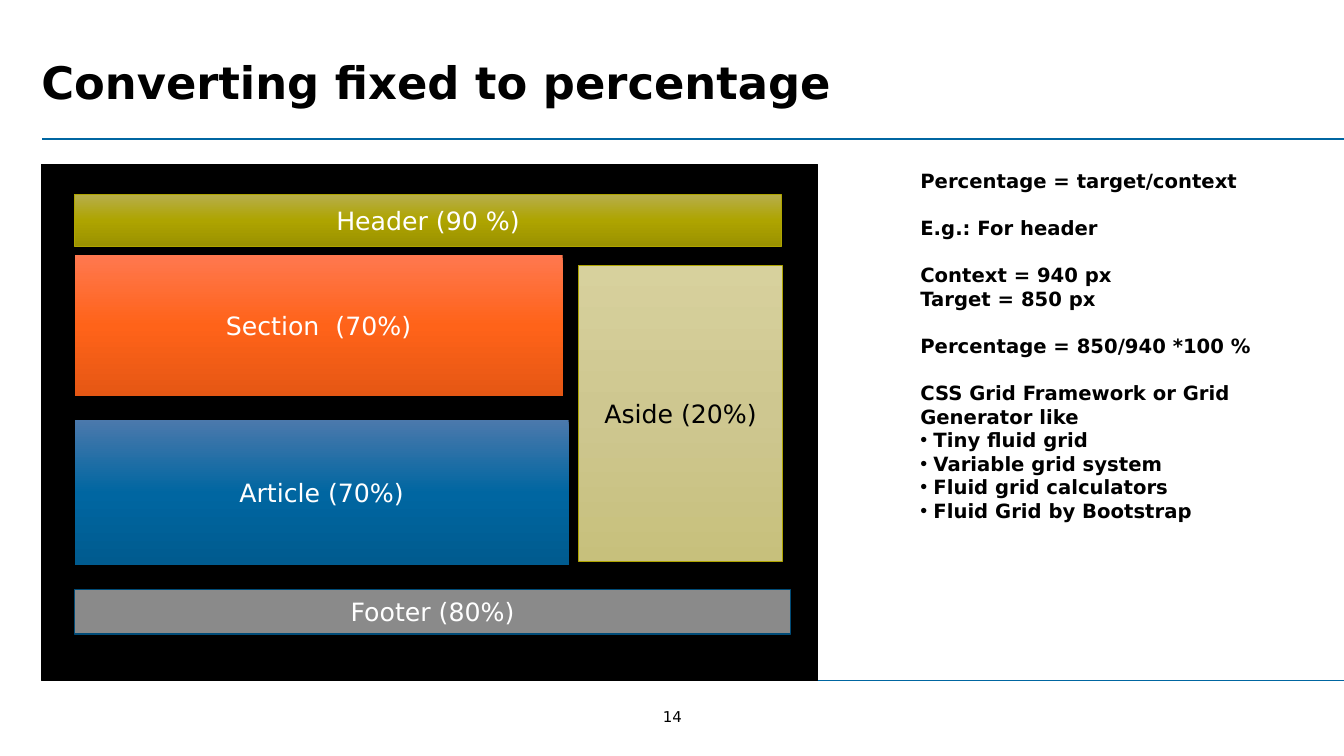
import copy
import pptx
import pptx.util
import pptx.dml.color
import pptx.enum.shapes
import pptx.enum.text
import pptx.oxml
import pptx.oxml.ns
from lxml import etree

Inches = pptx.util.Inches
Pt = pptx.util.Pt
RGBColor = pptx.dml.color.RGBColor
Align = pptx.enum.text.PP_ALIGN
Anchor = pptx.enum.text.MSO_ANCHOR
qn = pptx.oxml.ns.qn

BLACK = RGBColor(0x00, 0x00, 0x00)
WHITE = RGBColor(0xFF, 0xFF, 0xFF)
BLUE = RGBColor(0x00, 0x66, 0xA1)
DARK_BLUE = RGBColor(0x00, 0x4B, 0x77)
GRAY = RGBColor(0x8A, 0x8A, 0x8A)
OLIVE = RGBColor(0xAE, 0xA4, 0x00)
HEADER_FILL = [RGBColor(0xB7, 0xAE, 0x4B), OLIVE, RGBColor(0x9B, 0x92, 0x00)]
SECTION_FILL = [RGBColor(0xFF, 0x78, 0x4F), RGBColor(0xFF, 0x63, 0x19), RGBColor(0xE5, 0x57, 0x14)]
ARTICLE_FILL = [RGBColor(0x4B, 0x79, 0xAC), BLUE, RGBColor(0x00, 0x5B, 0x8F)]
ASIDE_FILL = [RGBColor(0xD7, 0xD1, 0x9D), RGBColor(0xCE, 0xC7, 0x90), RGBColor(0xC7, 0xC0, 0x7C)]


def write(paragraph, text, size, color, bold=False, align=Align.LEFT):
    paragraph.alignment = align
    run = paragraph.add_run()
    run.text = text
    formats = {"name": "DejaVu Sans", "size": Pt(size), "bold": bold}
    for key, value in formats.items():
        setattr(run.font, key, value)
    run.font.color.rgb = color


def add_block(box, colors, line_color, line_width):
    shape = slide.shapes.add_shape(
        pptx.enum.shapes.MSO_SHAPE.RECTANGLE, *[Inches(value) for value in box])
    shape.shadow.inherit = False
    if len(colors) == 1:
        shape.fill.solid()
        shape.fill.fore_color.rgb = colors[0]
    else:
        shape.fill.gradient()
        shape.fill.gradient_angle = 270
        first_stop = shape.element.spPr.find(".//" + qn("a:gs"))
        first_stop.addnext(copy.deepcopy(first_stop))
        for index, stop in enumerate(shape.fill.gradient_stops):
            stop.position = index / 2
            stop.color.rgb = colors[index]
    if line_color is None:
        shape.line.fill.background()
    else:
        shape.line.color.rgb = line_color
        shape.line.width = Pt(line_width)
    return shape


presentation = pptx.Presentation()
presentation.slide_width = Inches(13.33)
presentation.slide_height = Inches(7.5)
slide = presentation.slides.add_slide(presentation.slide_layouts[5])

title = slide.shapes.title
title_place = {"left": 0.41, "top": 0.49, "width": 12.65, "height": 0.63}
for key, value in title_place.items():
    setattr(title, key, Inches(value))
title_frame = {"margin_left": 0, "margin_right": 0, "margin_top": Inches(0.05),
               "margin_bottom": Inches(0.05), "vertical_anchor": Anchor.MIDDLE,
               "auto_size": pptx.enum.text.MSO_AUTO_SIZE.NONE, "word_wrap": True}
for key, value in title_frame.items():
    setattr(title.text_frame, key, value)
write(title.text_frame.paragraphs[0], "Converting fixed to percentage", 32, BLACK, True)

for rule_top in (1.38, 6.75):
    rule = slide.shapes.add_connector(
        pptx.enum.shapes.MSO_CONNECTOR.STRAIGHT,
        Inches(0.42), Inches(rule_top), Inches(13.33), Inches(rule_top))
    rule.line.color.rgb = BLUE
    rule.line.width = Pt(1.25)
    etree.SubElement(rule.element.spPr, qn("a:effectLst"))

page_number = slide.shapes.add_textbox(Inches(6.54), Inches(7.02), Inches(0.26), Inches(0.18))
number_frame = {"margin_left": 0, "margin_right": 0, "margin_top": 0, "margin_bottom": 0,
                "vertical_anchor": Anchor.MIDDLE, "word_wrap": False}
for key, value in number_frame.items():
    setattr(page_number.text_frame, key, value)
write(page_number.text_frame.paragraphs[0], "14", 10.7, BLACK, align=Align.CENTER)

add_block((0.41, 1.63, 7.7, 5.12), [BLACK], BLACK, 1)

blocks = [
    ("Header (90 %)", (0.74, 1.93, 7.01, 0.51), HEADER_FILL, OLIVE, 0.5, WHITE),
    ("Section  (70%)", (0.74, 2.53, 4.84, 1.4), SECTION_FILL, None, 0, WHITE),
    ("Article (70%)", (0.74, 4.17, 4.9, 1.44), ARTICLE_FILL, None, 0, WHITE),
    ("Aside (20%)", (5.74, 2.63, 2.02, 2.94), ASIDE_FILL, OLIVE, 0.5, BLACK),
    ("Footer (80%)", (0.74, 5.85, 7.1, 0.44), [GRAY], DARK_BLUE, 1, WHITE),
]
for label, box, colors, line_color, line_width, text_color in blocks:
    block = add_block(box, colors, line_color, line_width)
    block.text_frame.word_wrap = True
    block.text_frame.vertical_anchor = Anchor.MIDDLE
    write(block.text_frame.paragraphs[0], label, 18, text_color, align=Align.CENTER)

note_groups = [
    ["Percentage = target/context"],
    ["E.g.: For header"],
    ["Context = 940 px", "Target = 850 px"],
    ["Percentage = 850/940 *100 %"],
    ["CSS Grid Framework or Grid Generator like"],
]
grid_tools = ["Tiny fluid grid", "Variable grid system", "Fluid grid calculators",
              "Fluid Grid by Bootstrap"]
notes = slide.shapes.add_textbox(Inches(9.03), Inches(1.63), Inches(3.76), Inches(3.64))
notes.text_frame.word_wrap = True
paragraph = notes.text_frame.paragraphs[0]
for group_index, group in enumerate(note_groups):
    for line_index, text in enumerate(group):
        if group_index > 0 or line_index > 0:
            paragraph = notes.text_frame.add_paragraph()
        if group_index > 0 and line_index == 0:
            paragraph.space_before = Pt(16.8)
        write(paragraph, text, 14, BLACK, True)
for text in grid_tools:
    paragraph = notes.text_frame.add_paragraph()
    write(paragraph, text, 14, BLACK, True)
    properties = paragraph._p.get_or_add_pPr()
    properties.set("marL", str(Inches(0.13)))
    properties.set("indent", str(-Inches(0.13)))
    etree.SubElement(properties, qn("a:buFont"), typeface="Arial")
    etree.SubElement(properties, qn("a:buChar"), char="•")

presentation.save("out.pptx")
